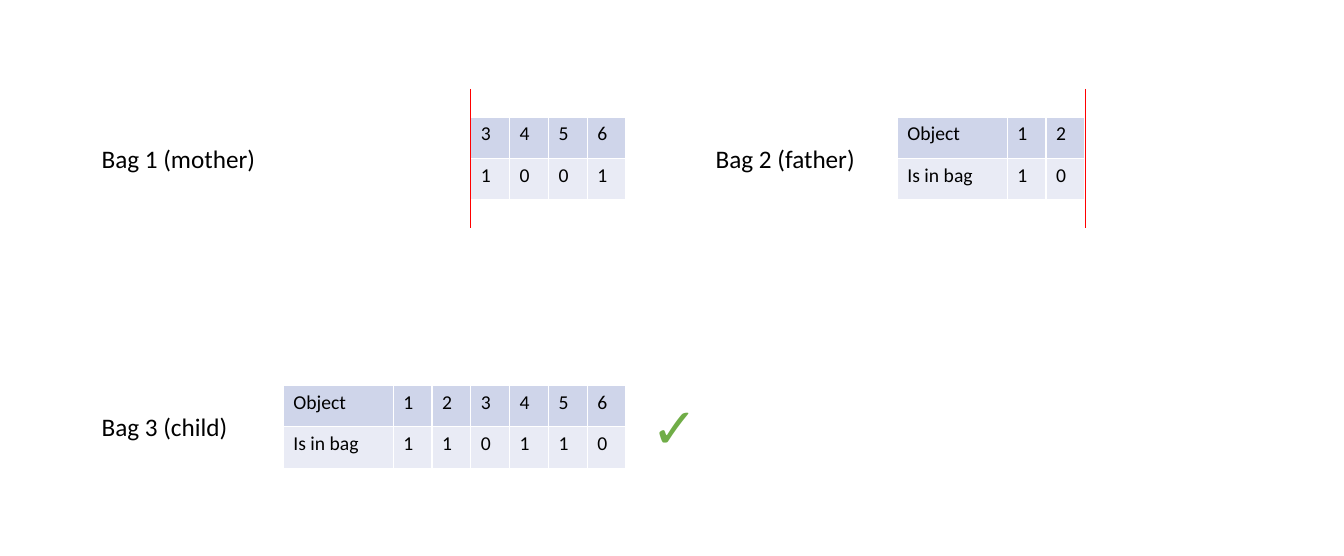
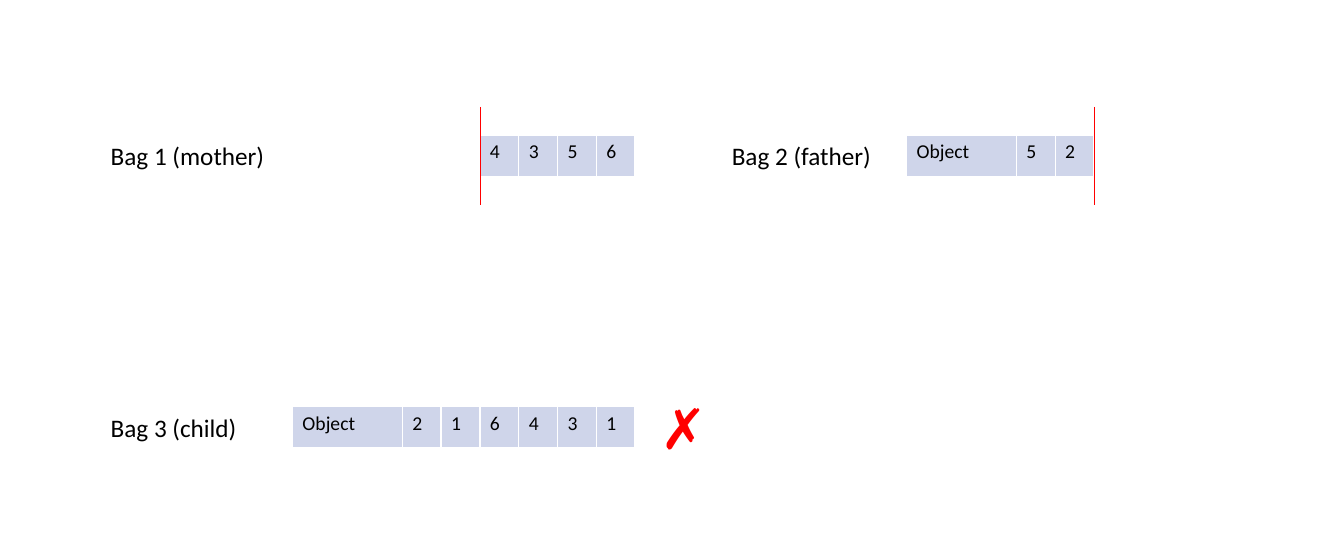
from pptx import Presentation
from pptx.dml.color import RGBColor
from pptx.enum.shapes import MSO_CONNECTOR
from pptx.enum.text import MSO_AUTO_SIZE
from pptx.oxml.ns import qn
from pptx.util import Inches, Pt
from lxml.etree import SubElement

BLACK = RGBColor(0x00, 0x00, 0x00)
RED = RGBColor(0xFF, 0x00, 0x00)
GREEN = RGBColor(0x70, 0xAD, 0x47)
ROW_FILLS = RGBColor(0xCF, 0xD5, 0xEA), RGBColor(0xE9, 0xEB, 0xF5)

CELL_FONT = {"name": "Calibri", "size": Pt(14)}
LABEL_FONT = {"name": "Calibri", "size": Pt(18)}
MARK_FONT = {"name": "Arial", "size": Pt(40)}

# Lengths in inches
ROW_H = 0.41
NAME_W, VALUE_W = 1.09, 0.385
HEAD_W = NAME_W + 2 * VALUE_W
OVERHANG = 0.28

# Offsets from the left edge of the labels
TABLE_X = 1.9
TAIL_X = TABLE_X + HEAD_W
MARK_X = 5.45
FATHER_TABLE_X = 7.99


def set_text(tf, text, font, color=BLACK):
    r = tf.paragraphs[0].add_run()
    r.text = text
    r.font.color.rgb = color
    for name, value in font.items():
        setattr(r.font, name, value)


def add_label(s, text, x, middle, w, h, font=LABEL_FONT, color=BLACK):
    """Put one unwrapped line of text, centred on the height middle."""
    box = s.shapes.add_textbox(Inches(x), Inches(middle - h / 2), Inches(w), Inches(h))
    tf = box.text_frame
    tf.word_wrap = False
    tf.auto_size = MSO_AUTO_SIZE.SHAPE_TO_FIT_TEXT
    set_text(tf, text, font, color)


def add_bag_table(s, rows, x, y):
    widths = [VALUE_W if text.isdigit() else NAME_W for text in rows[0]]
    frame = s.shapes.add_table(len(rows), len(widths), Inches(x), Inches(y),
                               Inches(sum(widths)), Inches(ROW_H * len(rows)))
    table = frame.table
    table.first_row = table.horz_banding = False
    for column, width in zip(table.columns, widths):
        column.width = Inches(width)
    for i, row in enumerate(rows):
        for j, text in enumerate(row):
            cell = table.cell(i, j)
            cell.fill.solid()
            cell.fill.fore_color.rgb = ROW_FILLS[i]
            set_text(cell.text_frame, text, CELL_FONT)


def add_cut(s, x, y, height):
    """Draw the crossover line past both ends of a table side."""
    line = s.shapes.add_connector(MSO_CONNECTOR.STRAIGHT, Inches(x), Inches(y - OVERHANG),
                                  Inches(x), Inches(y + height + OVERHANG))
    line.line.color.rgb = RED
    line.line.width = Pt(0.5)
    SubElement(line._element.spPr, qn("a:effectLst"))


def add_crossover_slide(prs, x, parents_y, child_y, father_x, mother, father, child, mark):
    """Show the mother's tail and the father's head above the child they give."""
    s = prs.slides.add_slide(prs.slide_layouts[6])
    height = ROW_H * len(mother)
    parents_mid, child_mid = parents_y + height / 2, child_y + height / 2

    add_label(s, "Bag 1 (mother)", x, parents_mid, 1.74, 0.4)
    add_label(s, "Bag 2 (father)", father_x, parents_mid, 1.6, 0.4)
    add_label(s, "Bag 3 (child)", x, child_mid, 1.47, 0.4)

    add_bag_table(s, mother, x + TAIL_X, parents_y)
    add_bag_table(s, father, x + FATHER_TABLE_X, parents_y)
    add_bag_table(s, [row[:3] for row in child], x + TABLE_X, child_y)
    add_bag_table(s, [row[3:] for row in child], x + TAIL_X, child_y)

    for cut_x in (TAIL_X, FATHER_TABLE_X + HEAD_W):
        add_cut(s, x + cut_x, parents_y, height)

    symbol, color = mark
    add_label(s, symbol, x + MARK_X, child_mid, 0.6, 0.77, MARK_FONT, color)


def main():
    prs = Presentation()
    prs.slide_width, prs.slide_height = Inches(13.33), Inches(5.51)
    add_crossover_slide(
        prs, x=0.91, parents_y=1.16, child_y=3.82, father_x=7,
        mother=["3456", "1001"],
        father=[["Object", *"12"], ["Is in bag", *"10"]],
        child=[["Object", *"123456"], ["Is in bag", *"110110"]],
        mark=("✓", GREEN))
    add_crossover_slide(
        prs, x=1, parents_y=1.34, child_y=4.03, father_x=7.16,
        mother=["4356"],
        father=[["Object", *"52"]],
        child=[["Object", *"216431"]],
        mark=("✗", RED))
    prs.save("out.pptx")


if __name__ == "__main__":
    main()
